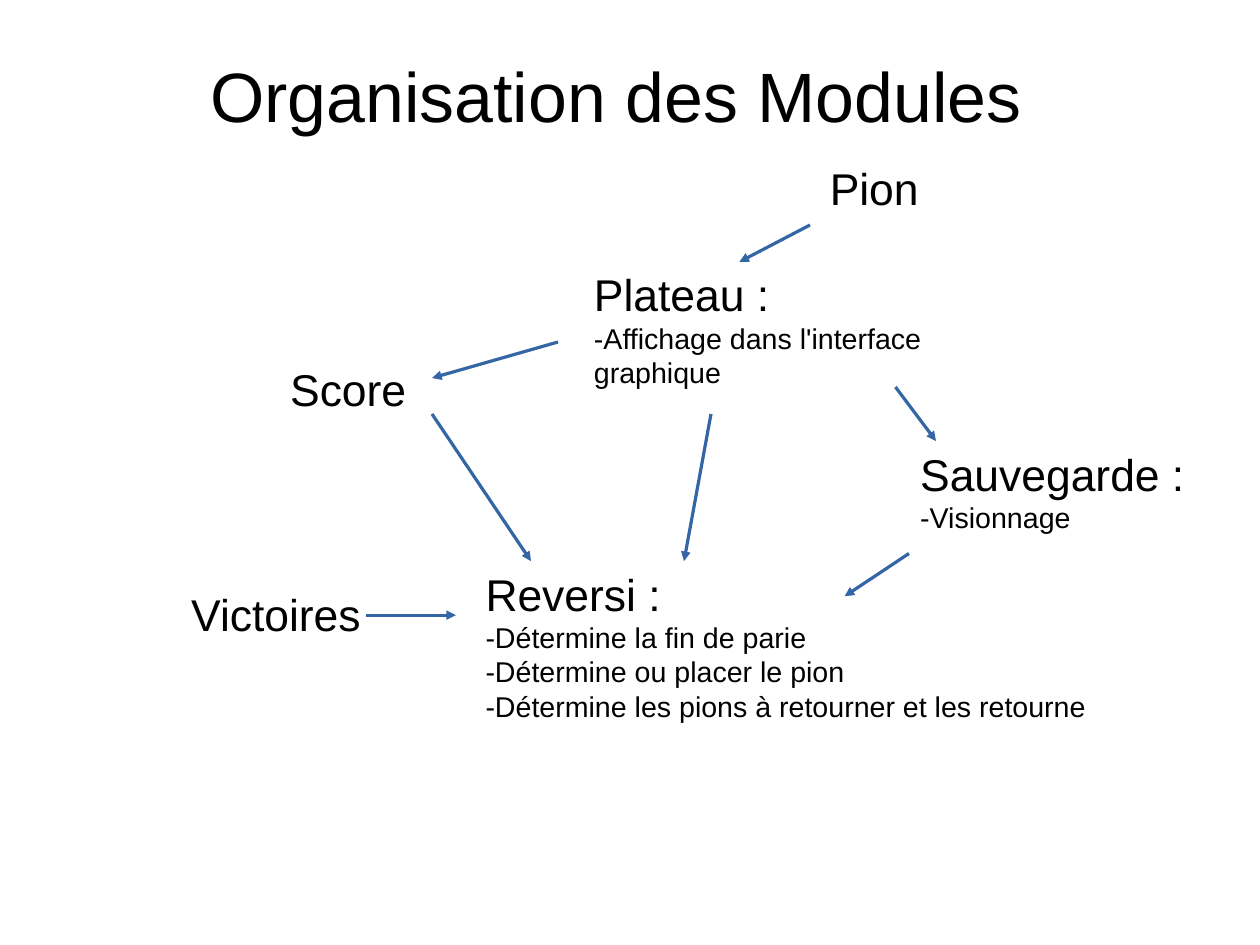
"""Build the slide showing how the game's modules depend on each other."""
from lxml import etree
from pptx import Presentation
from pptx import util as u
from pptx.dml.color import RGBColor
from pptx.enum import shapes, text
from pptx.oxml.ns import qn

BLACK = RGBColor(0x00, 0x00, 0x00)
BLUE = RGBColor(0x34, 0x65, 0xA4)
FONT = "Arial"

MODULES = [
    ((10.54, 12.47, 17.25, 4.93), "Reversi :",
     ["-Détermine la fin de parie", "-Détermine ou placer le pion",
      "-Détermine les pions à retourner et les retourne"]),
    ((6.2, 7.92, 12.67, 2.69), "Score", []),
    ((4, 12.93, 9.12, 2.69), "Victoires", []),
    ((18.19, 3.45, 8.64, 1.96), "Pion", []),
    ((12.95, 5.82, 9.63, 4.19), "Plateau :",
     ["-Affichage dans l'interface graphique"]),
    ((20.2, 9.8, 6.38, 2.44), "Sauvegarde :", ["-Visionnage"]),
]

ARROWS = [
    (18, 5, 16.43, 5.82),
    (12.4, 7.6, 9.6, 8.4),
    (19.9, 8.6, 20.8, 9.8),
    (20.2, 12.3, 18.77, 13.25),
    (15.8, 9.2, 15.2, 12.47),
    (9.6, 9.2, 11.8, 12.47),
    (8.13, 13.67, 10.13, 13.67),
]


def format_paragraph(p, size):
    """Give every run of a paragraph the slide's font."""
    for r in p.runs:
        r.font.name = FONT
        r.font.size = u.Pt(size)
        r.font.color.rgb = BLACK


def set_title(s, title):
    """Fill, place and format the title placeholder."""
    sp = s.shapes.title
    sp.left, sp.top, sp.width, sp.height = map(u.Cm, (0.9, 0.7, 25.6, 2.82))
    tf = sp.text_frame
    tf.text = title
    tf.margin_left = tf.margin_right = tf.margin_top = tf.margin_bottom = 0
    tf.vertical_anchor = text.MSO_ANCHOR.MIDDLE
    tf.paragraphs[0].alignment = text.PP_ALIGN.CENTER
    format_paragraph(tf.paragraphs[0], 44)


def add_module(s, box, name, tasks):
    """Add a module's name with its tasks below."""
    tf = s.shapes.add_textbox(*map(u.Cm, box)).text_frame
    tf.text = "\n".join([name, *tasks])
    tf.word_wrap = True
    tf.auto_size = text.MSO_AUTO_SIZE.SHAPE_TO_FIT_TEXT
    if name.startswith("Sauvegarde"):
        tf.word_wrap = False
    for i, p in enumerate(tf.paragraphs):
        format_paragraph(p, 18 if i else 28)


def add_arrow(s, ends):
    """Add a hairline arrow between two points."""
    cx = s.shapes.add_connector(shapes.MSO_CONNECTOR.STRAIGHT, *map(u.Cm, ends))
    cx.line.color.rgb = BLUE
    cx.line.width = u.Pt(0)
    ln = cx.line._get_or_add_ln()
    etree.SubElement(ln, qn("a:tailEnd"), type="triangle")
    etree.SubElement(cx._element.spPr, qn("a:effectLst"))


def main():
    """Build and save the presentation."""
    prs = Presentation()
    prs.slide_width, prs.slide_height = u.Cm(28), u.Cm(21)
    s = prs.slides.add_slide(prs.slide_layouts[5])
    set_title(s, "Organisation des Modules")
    for module in MODULES:
        add_module(s, *module)
    for ends in ARROWS:
        add_arrow(s, ends)
    prs.save("out.pptx")


if __name__ == "__main__":
    main()
